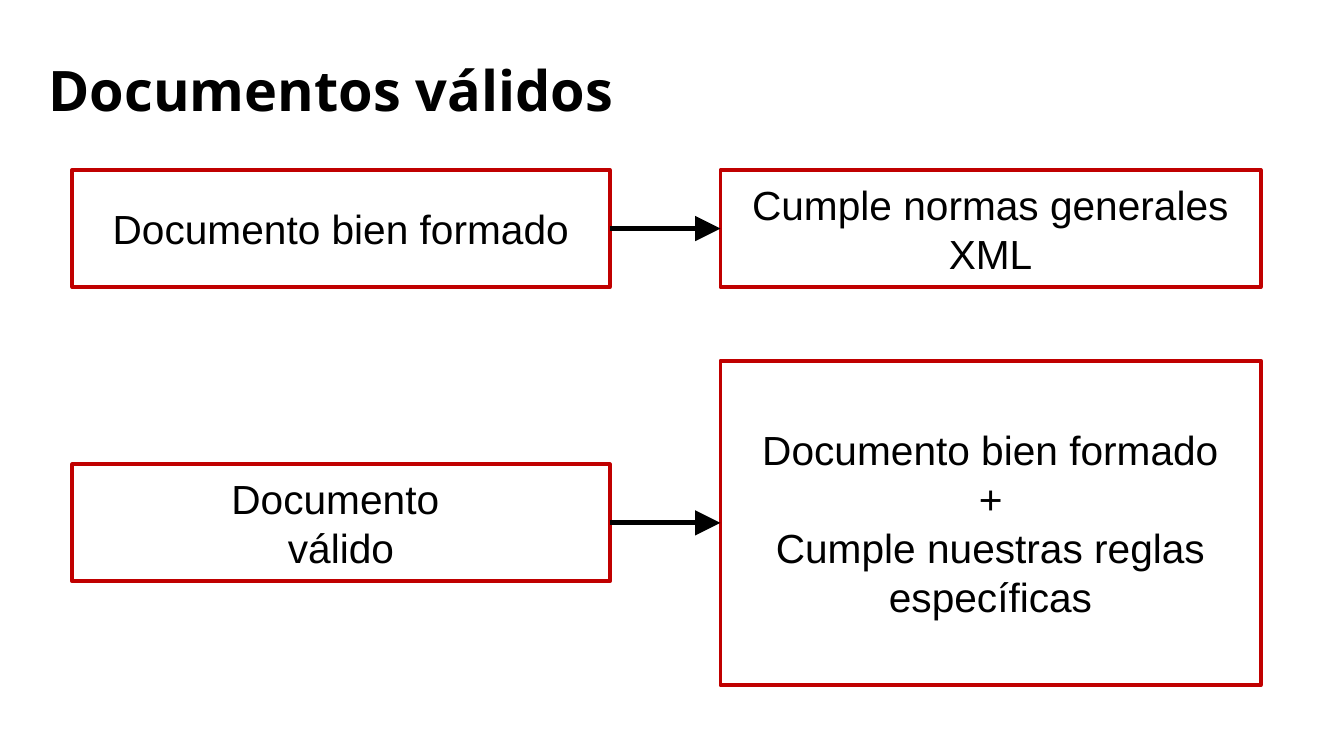
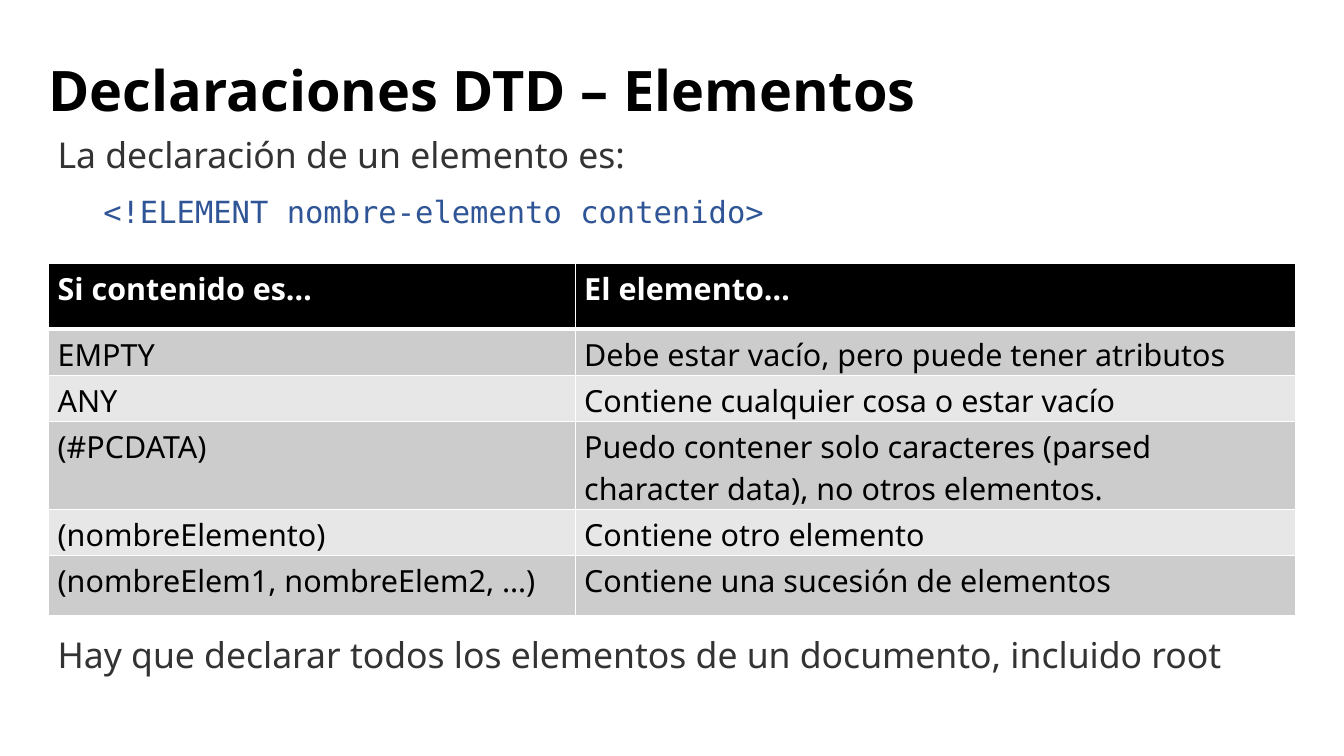
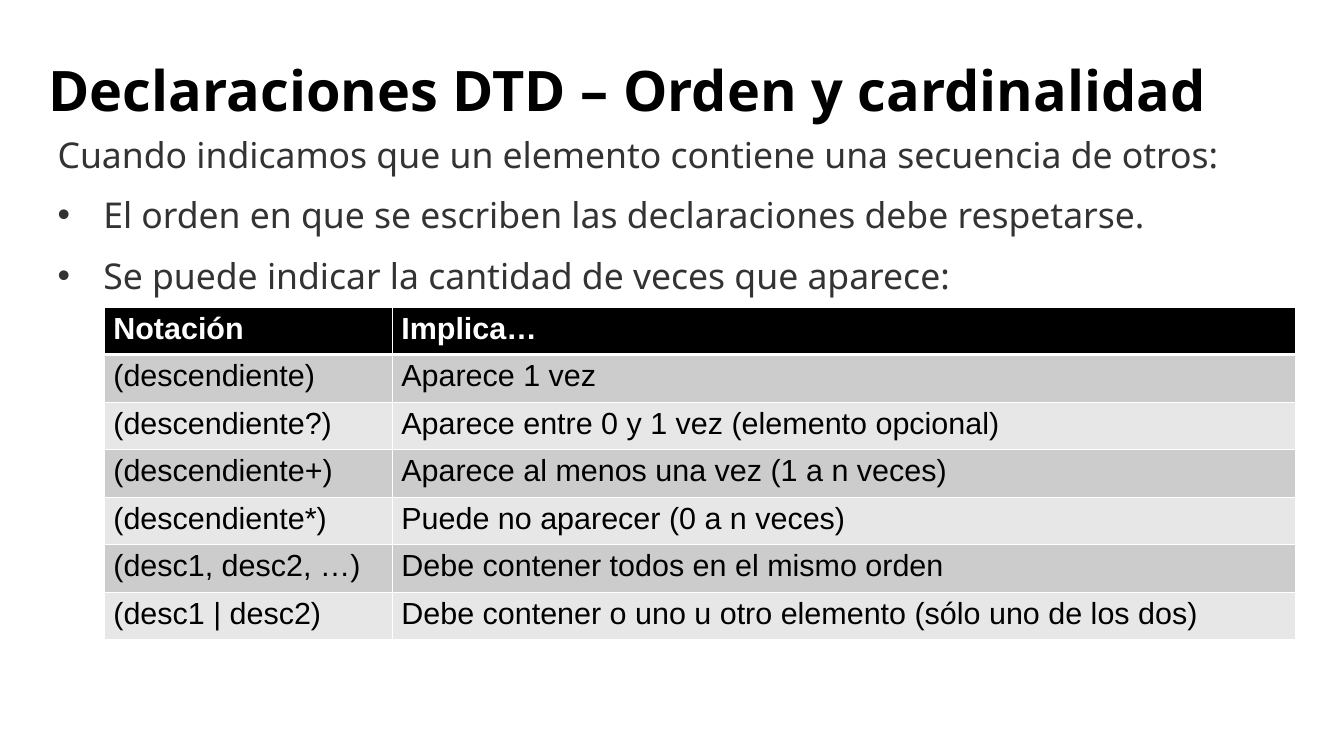
from lxml import etree
from pptx import Presentation
from pptx.dml.color import RGBColor
from pptx.enum import shapes, text
from pptx.oxml import ns
from pptx.util import Inches, Pt

BLACK = RGBColor(0x00, 0x00, 0x00)
WHITE = RGBColor(0xFF, 0xFF, 0xFF)
RED = RGBColor(0xC0, 0x00, 0x00)
GREY = RGBColor(0x33, 0x33, 0x33)
BLUE = RGBColor(0x2F, 0x55, 0x97)
BANDS = [RGBColor(0xCC, 0xCC, 0xCC), RGBColor(0xE7, 0xE7, 0xE7)]
SANS, MONO, ARIAL = "Noto Sans", "DejaVu Sans Mono", "Arial"
LEFT, WIDTH = 0.53, 13.71

prs = Presentation()
prs.slide_width, prs.slide_height = Inches(14.7), Inches(8.27)


def set_font(p, name, size, color, bold=False):
    for r in p.runs:
        r.font.name, r.font.size, r.font.bold = name, Pt(size), bold
        r.font.color.rgb = color


def add_slide(layout, title):
    s = prs.slides.add_slide(prs.slide_layouts[layout])
    sp = s.shapes.title
    sp.left, sp.top = Inches(LEFT), Inches(0.28)
    sp.width, sp.height = Inches(WIDTH), Inches(1.48)
    tf = sp.text_frame
    tf.text = title
    tf.auto_size = text.MSO_AUTO_SIZE.NONE
    tf.vertical_anchor = text.MSO_ANCHOR.MIDDLE
    tf.margin_left = tf.margin_right = tf.margin_top = tf.margin_bottom = 0
    p = tf.paragraphs[0]
    p.alignment = text.PP_ALIGN.LEFT
    p.line_spacing = 0.9
    set_font(p, SANS, 44, BLACK, True)
    return s


s = add_slide(5, "Documentos válidos")
flows = [
    (2.5, "Documento bien formado", "Cumple normas generales XML", 1.28),
    (5.72, "Documento \vválido",
     "Documento bien formado\v+\nCumple nuestras reglas específicas", 3.55),
]
for middle, term, meaning, meaning_height in flows:
    boxes = []
    for left, width, height, words in [
        (0.79, 5.88, 1.28, term),
        (7.88, 5.91, meaning_height, meaning),
    ]:
        sp = s.shapes.add_shape(
            shapes.MSO_SHAPE.RECTANGLE, Inches(left), Inches(middle - height / 2),
            Inches(width), Inches(height))
        sp.shadow.inherit = False
        sp.fill.background()
        sp.line.color.rgb = RED
        sp.line.width = Pt(3)
        tf = sp.text_frame
        tf.text = words
        tf.word_wrap = True
        tf.vertical_anchor = text.MSO_ANCHOR.MIDDLE
        for p in tf.paragraphs:
            p.alignment = text.PP_ALIGN.CENTER
            set_font(p, ARIAL, 32, BLACK)
        boxes.append(sp)
    arrow = s.shapes.add_connector(shapes.MSO_CONNECTOR.STRAIGHT, 0, 0, 0, 0)
    arrow.begin_connect(boxes[0], 3)
    arrow.end_connect(boxes[1], 1)
    arrow.line.color.rgb = BLACK
    arrow.line.width = Pt(4)
    etree.SubElement(arrow.line._get_or_add_ln(), ns.qn("a:tailEnd"),
                     type="triangle", w="lg", len="lg")
    etree.SubElement(arrow._element.spPr, ns.qn("a:effectLst"))

table_slides = [
    {
        "title": "Declaraciones DTD – Elementos",
        "body_height": 6.12,
        "body": [
            ("text", "La declaración de un elemento es:", 0),
            ("code", "<!ELEMENT nombre-elemento contenido>", 0),
            ("text", "Hay que declarar todos los elementos de un documento, incluido root", 318),
        ],
        "at": (0.53, 2.88),
        "font": SANS,
        "cols": [5.76, 7.88],
        "heights": [0.72, 0.5, 0.5, 0.96, 0.5, 0.66],
        "rows": [
            ("Si contenido es…", "El elemento…"),
            ("EMPTY", "Debe estar vacío, pero puede tener atributos"),
            ("ANY", "Contiene cualquier cosa o estar vacío"),
            ("(#PCDATA)",
             "Puedo contener solo caracteres (parsed character data), no otros elementos."),
            ("(nombreElemento)", "Contiene otro elemento"),
            ("(nombreElem1, nombreElem2, …)", "Contiene una sucesión de elementos"),
        ],
    },
    {
        "title": "Declaraciones DTD – Orden y cardinalidad",
        "body_height": 3.24,
        "body": [
            ("text", "Cuando indicamos que un elemento contiene una secuencia de otros:", 0),
            ("bullet", "El orden en que se escriben las declaraciones debe respetarse.", 0),
            ("bullet", "Se puede indicar la cantidad de veces que aparece:", 0),
        ],
        "at": (1.14, 3.36),
        "font": ARIAL,
        "cols": [3.15, 9.88],
        "heights": [0.52] * 7,
        "rows": [
            ("Notación", "Implica…"),
            ("(descendiente)", "Aparece 1 vez"),
            ("(descendiente?)", "Aparece entre 0 y 1 vez (elemento opcional)"),
            ("(descendiente+)", "Aparece al menos una vez (1 a n veces)"),
            ("(descendiente*)", "Puede no aparecer (0 a n veces)"),
            ("(desc1, desc2, …)", "Debe contener todos en el mismo orden"),
            ("(desc1 | desc2)", "Debe contener o uno u otro elemento (sólo uno de los dos)"),
        ],
    },
]
styles = {
    "text": (0, 0, SANS, 28, GREY, 14.1),
    "bullet": (0.5, -0.5, SANS, 28, GREY, 14.1),
    "code": (0.5, 0, MONO, 24, BLUE, 0),
}

for item in table_slides:
    s = add_slide(1, item["title"])
    sp = s.placeholders[1]
    sp.left, sp.top = Inches(LEFT), Inches(1.4)
    sp.width, sp.height = Inches(WIDTH), Inches(item["body_height"])
    tf = sp.text_frame
    tf.text = "\n".join(words for kind, words, before in item["body"])
    tf.auto_size = text.MSO_AUTO_SIZE.NONE
    tf.vertical_anchor = text.MSO_ANCHOR.TOP
    for p, (kind, words, before) in zip(tf.paragraphs, item["body"]):
        margin, indent, name, size, color, after = styles[kind]
        pPr = p._p.get_or_add_pPr()
        pPr.set("marL", str(Inches(margin)))
        pPr.set("indent", str(Inches(indent)))
        if kind == "bullet":
            etree.SubElement(pPr, ns.qn("a:buFont"), typeface=ARIAL)
            etree.SubElement(pPr, ns.qn("a:buChar"), char="•")
        else:
            etree.SubElement(pPr, ns.qn("a:buNone"))
        p.level = 1 if kind == "code" else 0
        p.space_before, p.space_after = Pt(before), Pt(after)
        set_font(p, name, size, color)

    left, top = item["at"]
    table = s.shapes.add_table(
        len(item["rows"]), len(item["cols"]), Inches(left), Inches(top),
        Inches(sum(item["cols"])), Inches(sum(item["heights"]))).table
    for col, width in zip(table.columns, item["cols"]):
        col.width = Inches(width)
    for i, (row, height) in enumerate(zip(table.rows, item["heights"])):
        row.height = Inches(height)
        header = i == 0
        widths = {"lnL": 0.96, "lnR": 0.96,
                  "lnT": 3 if i == 1 else 0.96, "lnB": 3 if header else 0.96}
        for cell, words in zip(row.cells, item["rows"][i]):
            cell.text = words
            cell.margin_bottom = 0
            set_font(cell.text_frame.paragraphs[0], item["font"], 24,
                     WHITE if header else BLACK, header)
            tcPr = cell._tc.get_or_add_tcPr()
            for tag, width in widths.items():
                ln = etree.SubElement(tcPr, ns.qn("a:" + tag), w=str(Pt(width)))
                fill = etree.SubElement(ln, ns.qn("a:solidFill"))
                etree.SubElement(fill, ns.qn("a:srgbClr"), val=str(WHITE))
            cell.fill.solid()
            cell.fill.fore_color.rgb = BLACK if header else BANDS[(i - 1) % 2]

prs.save("out.pptx")
